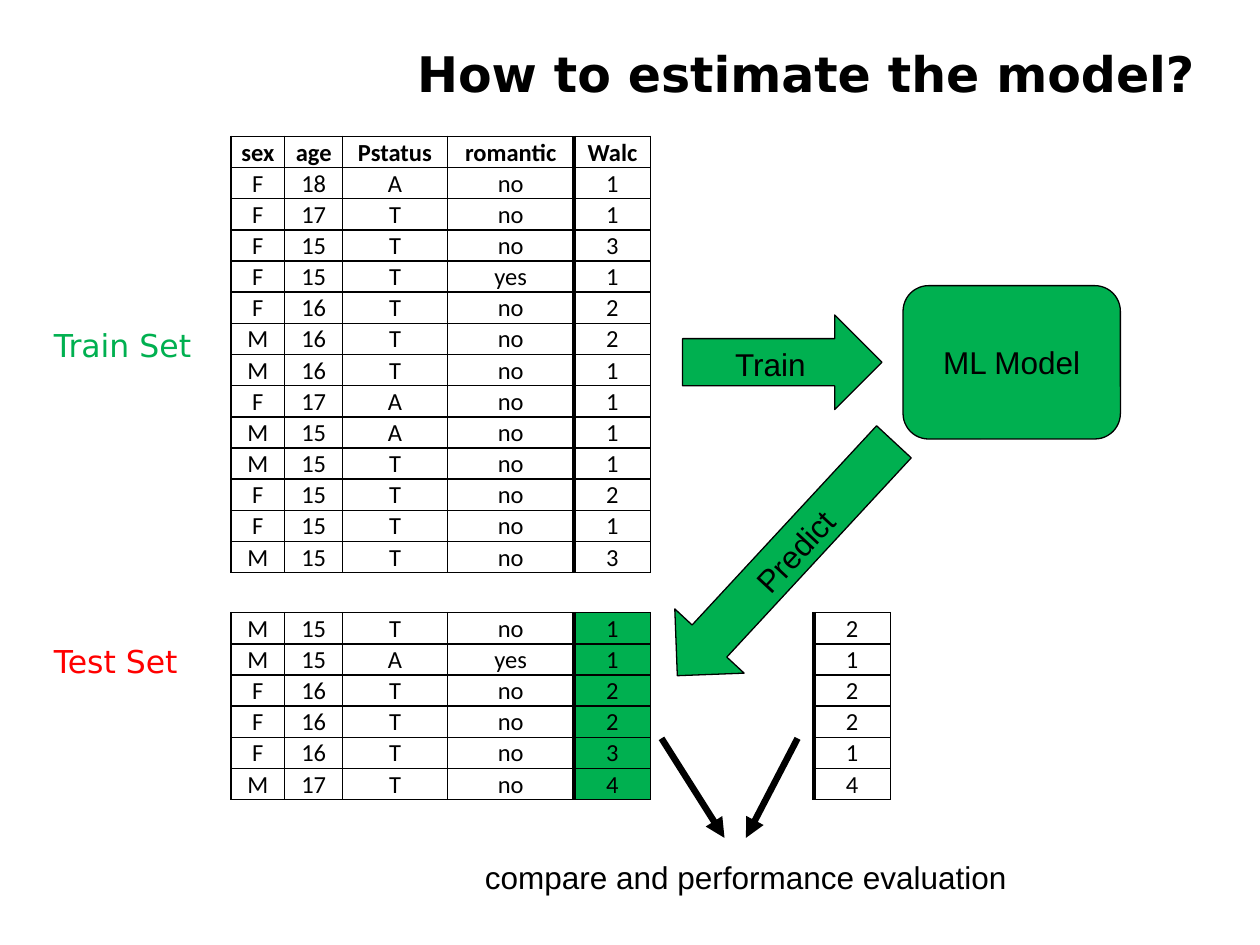
from lxml import etree
from pptx import Presentation, util as u
from pptx.dml.color import RGBColor
from pptx.enum import shapes, text
from pptx.oxml import parse_xml
from pptx.oxml.ns import nsdecls, qn

COLORS = {"ink": "000000", "green": "00B050", "red": "FF0000"}
COLUMN_WIDTHS = [1.71, 1.84, 3.32, 4.03, 2.43]
ROW_HEIGHT = 0.99
HEADER = "sex age Pstatus romantic Walc"
TRAIN_ROWS = """F 18 A no 1
F 17 T no 1
F 15 T no 3
F 15 T yes 1
F 16 T no 2
M 16 T no 2
M 16 T no 1
F 17 A no 1
M 15 A no 1
M 15 T no 1
F 15 T no 2
F 15 T no 1
M 15 T no 3"""
TEST_ROWS = """M 15 T no 1
M 15 A yes 1
F 16 T no 2
F 16 T no 2
F 16 T no 3
M 17 T no 4"""
ACTUAL_VALUES = "2 1 2 2 1 4"


def split_rows(lines):
    return [line.split() for line in lines.splitlines()]


class Board:
    """Draws on one slide; lengths are in units of a 40 by 30 grid."""

    def __init__(self, deck):
        self.slide = deck.slides.add_slide(deck.slide_layouts[5])
        self.unit = deck.slide_width / 40

    def grid(self, *lengths):
        return [round(length * self.unit) for length in lengths]

    def color(self, name):
        return RGBColor.from_string(COLORS[name])

    def set_words(self, frame, words, size=18, font="Arial", color="ink",
                  bold=False, align=text.PP_ALIGN.CENTER):
        frame.text = words
        paragraph = frame.paragraphs[0]
        paragraph.alignment = align
        style = paragraph.runs[0].font
        style.size, style.name, style.bold = u.Pt(size), font, bold
        style.color.rgb = self.color(color)

    def title(self, words, box):
        heading = self.slide.shapes.title
        heading.left, heading.top, heading.width, heading.height = self.grid(*box)
        heading.text_frame.vertical_anchor = text.MSO_ANCHOR.MIDDLE
        self.set_words(heading.text_frame, words, 28, "DejaVu Sans", bold=True,
                       align=text.PP_ALIGN.RIGHT)

    def label(self, words, box, font="Arial", color="ink"):
        frame = self.slide.shapes.add_textbox(*self.grid(*box)).text_frame
        frame.word_wrap = False
        frame.auto_size = text.MSO_AUTO_SIZE.SHAPE_TO_FIT_TEXT
        self.set_words(frame, words, font=font, color=color, align=text.PP_ALIGN.LEFT)

    def block(self, preset, words, box, anchor=text.MSO_ANCHOR.TOP):
        shape = self.slide.shapes.add_shape(preset, *self.grid(*box))
        shape.shadow.inherit = False
        shape.fill.solid()
        shape.fill.fore_color.rgb = self.color("green")
        shape.line.color.rgb = self.color("ink")
        shape.line.width = u.Pt(0.75)
        shape.text_frame.vertical_anchor = anchor
        self.set_words(shape.text_frame, words)
        return shape

    def arrow(self, start, end):
        connector = self.slide.shapes.add_connector(
            shapes.MSO_CONNECTOR.STRAIGHT, *self.grid(*start, *end))
        connector.line.color.rgb = self.color("ink")
        connector.line.width = u.Pt(3.75)
        properties = connector._element.spPr
        etree.SubElement(properties.find(qn("a:ln")), qn("a:tailEnd"), type="triangle")
        etree.SubElement(properties, qn("a:effectLst"))

    def borders(self, cell, **widths):
        """Set border widths in points by side; the other sides get 1 point."""
        for side in "LRTB":
            cell._tc.get_or_add_tcPr().append(parse_xml(
                f'<a:ln{side} {nsdecls("a")} w="{u.Pt(widths.get(side, 1))}"><a:solidFill>'
                f'<a:srgbClr val="{COLORS["ink"]}"/></a:solidFill></a:ln{side}>'))

    def table(self, rows, left, top, widths, header=False, predicted=False):
        """Draw a table whose last column, the target, has a heavy left edge."""
        table = self.slide.shapes.add_table(
            len(rows), len(widths),
            *self.grid(left, top, sum(widths), ROW_HEIGHT * len(rows))).table
        table.first_row = table.horz_banding = False
        for column, width in zip(table.columns, self.grid(*widths)):
            column.width = width
        target = len(widths) - 1
        for r, row in enumerate(rows):
            for c, value in enumerate(row):
                cell = table.cell(r, c)
                cell.margin_left = cell.margin_right = cell.margin_top = u.Inches(0.01)
                cell.margin_bottom = 0
                cell.vertical_anchor = text.MSO_ANCHOR.BOTTOM
                self.set_words(cell.text_frame, value, 14, "Calibri",
                               bold=header and r == 0)
                self.borders(cell, L=2.25 if c == target else 1,
                             R=2.25 if c == target - 1 else 1)
                if predicted and c == target:
                    cell.fill.solid()
                    cell.fill.fore_color.rgb = self.color("green")
                else:
                    cell.fill.background()


def main():
    deck = Presentation()
    deck.slide_width, deck.slide_height = u.Inches(10), u.Inches(7.5)
    board = Board(deck)
    preset = shapes.MSO_SHAPE

    board.title("How to estimate the model?", (7.08, 1.04, 31.24, 2.52))
    board.label("Train Set", (1.32, 10.16, 5.32, 1.6), "DejaVu Sans", "green")
    board.label("Test Set", (1.32, 20.2, 4.92, 1.6), "DejaVu Sans", "red")

    board.block(preset.RIGHT_ARROW, "Train", (21.67, 10, 6.33, 3))
    board.block(preset.ROUNDED_RECTANGLE, "ML Model", (28.67, 9.07, 6.9, 4.87),
                text.MSO_ANCHOR.MIDDLE)
    predict = board.block(preset.RIGHT_ARROW, "Predict", (19.88, 16.24, 10.12, 3))
    predict.rotation = 312.8
    predict._element.spPr.xfrm.set("flipH", "1")

    board.arrow((21, 23.44), (23, 26.6))
    board.arrow((25.32, 23.44), (23.68, 26.6))
    board.label("compare and performance evaluation", (15, 27.04, 17.76, 1.6))

    table_left, train_top, test_top = 7.33, 4.33, 19.45
    board.table([[value] for value in ACTUAL_VALUES.split()], 25.84, test_top,
                COLUMN_WIDTHS[-1:])
    board.table([HEADER.split()] + split_rows(TRAIN_ROWS), table_left, train_top,
                COLUMN_WIDTHS, header=True)
    board.table(split_rows(TEST_ROWS), table_left, test_top, COLUMN_WIDTHS, predicted=True)
    deck.save("out.pptx")


if __name__ == "__main__":
    main()
